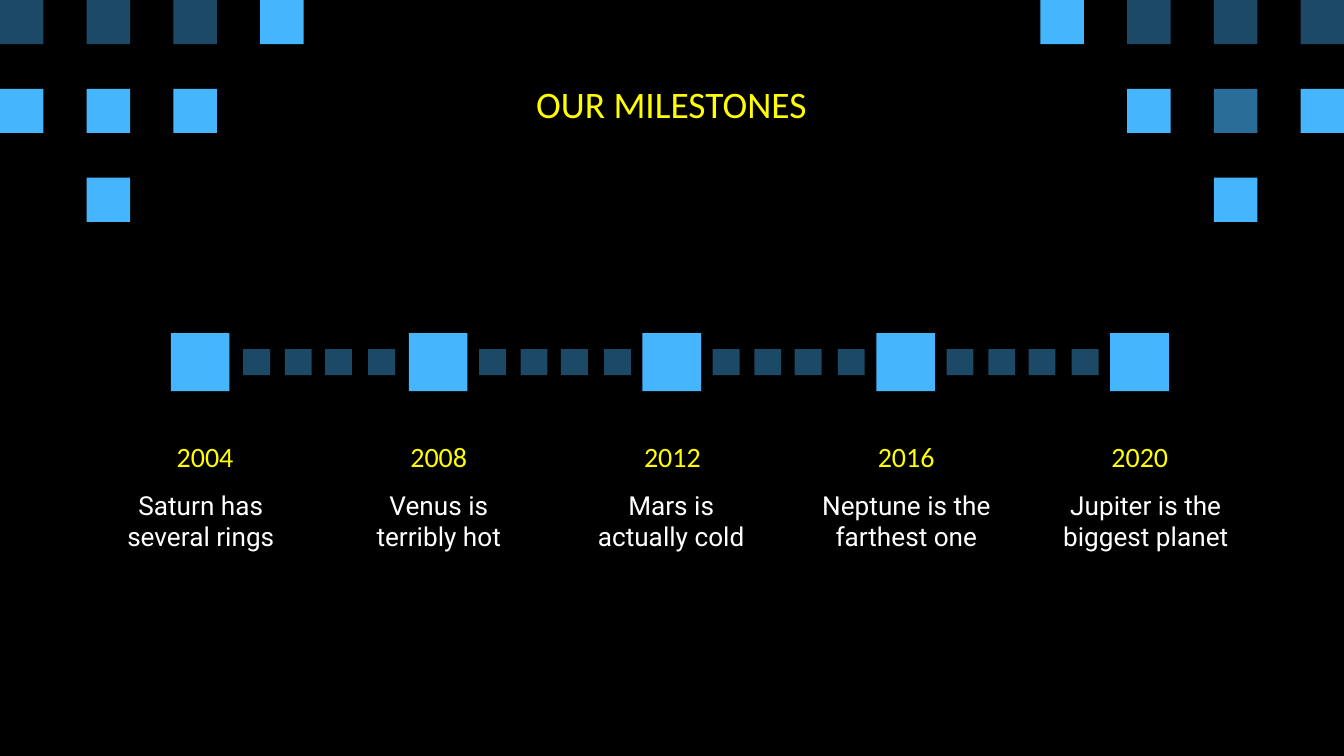
from pptx import Presentation
from pptx.dml.color import RGBColor as Rgb
from pptx.enum.shapes import MSO_SHAPE as Shape
from pptx.enum.text import MSO_ANCHOR as Anchor, PP_ALIGN as Align
from pptx.util import Pt

COLORS = {
    "back": "000000", "head": "FFFF00", "body": "FFFFFF",
    "light": "45B6FE", "mid": "296D98", "dark": "1C4966",
}

TITLE = "OUR MILESTONES"

# year, text, left of the square, left of the text
STONES = [
    ("2004", "Saturn has several rings", 91.5, 51.8),
    ("2008", "Venus is terribly hot", 219.1, 179.3),
    ("2012", "Mars is actually cold", 344.2, 303.8),
    ("2016", "Neptune is the farthest one", 469.5, 429.8),
    ("2020", "Jupiter is the biggest planet", 594.8, 558),
]

# corner pattern: (row, shade) -> columns of a 16-column grid
CORNERS = {
    (0, "dark"): (0, 1, 2, 13, 14, 15),
    (0, "light"): (3, 12),
    (1, "light"): (0, 1, 2, 13, 15),
    (1, "mid"): (14,),
    (2, "light"): (1, 14),
}
COL, ROW = 46.45, 47.6
TILE = (23.3, 23.7)

MARK, DOT = (31.4, 31.2), (14.4, 14)
MARK_TOP, DOT_TOP = 178.4, 187
DOTS = (0, 22.3, 43.9, 67)
YEAR_LEFT, YEAR_STEP = 56.2, 125.2

deck = Presentation()
deck.slide_width, deck.slide_height = Pt(720), Pt(405)
slide = deck.slides.add_slide(deck.slide_layouts[6])
slide.background.fill.solid()
slide.background.fill.fore_color.rgb = Rgb.from_string(COLORS["back"])


def add_tile(left, top, size, shade):
    tile = slide.shapes.add_shape(
        Shape.RECTANGLE, Pt(left), Pt(top), Pt(size[0]), Pt(size[1]))
    tile.shadow.inherit = False
    tile.fill.solid()
    tile.fill.fore_color.rgb = Rgb.from_string(COLORS[shade])
    tile.line.fill.background()


def add_text(text, left, top, width, height, *, size, font="Calibri",
             color="head", anchor=Anchor.MIDDLE, lead=1.0, after=0):
    box = slide.shapes.add_textbox(Pt(left), Pt(top), Pt(width), Pt(height))
    frame = box.text_frame
    frame.word_wrap = True
    frame.vertical_anchor = anchor
    frame.margin_left = frame.margin_right = Pt(7.2)
    frame.margin_top = frame.margin_bottom = Pt(7.2)
    para = frame.paragraphs[0]
    para.alignment = Align.CENTER
    para.line_spacing = lead
    para.space_after = Pt(after)
    run = para.add_run()
    run.text = text
    run.font.size, run.font.name = Pt(size), font
    run.font.color.rgb = Rgb.from_string(COLORS[color])


for (row, shade), cols in CORNERS.items():
    for col in cols:
        add_tile(col * COL, row * ROW, TILE, shade)

add_text(TITLE, 56.2, 42.5, 607, 25.9, size=20)

for i, (year, text, mark, left) in enumerate(STONES):
    add_text(year, YEAR_LEFT + i * YEAR_STEP, 231.1, 107.3, 23.8,
             size=15, lead=1.15)
    add_text(text, left, 254.9, 111.6, 47.5, size=14, font="Roboto",
             color="body", anchor=Anchor.TOP, after=16)
    add_tile(mark, MARK_TOP, MARK, "light")

# each run of dots is centred between two neighbouring squares
span = DOTS[-1] + DOT[0]
for prev, after in zip(STONES, STONES[1:]):
    start = (prev[2] + after[2] + MARK[0] - span) / 2
    for step in DOTS:
        add_tile(start + step, DOT_TOP, DOT, "dark")

deck.save("out.pptx")
